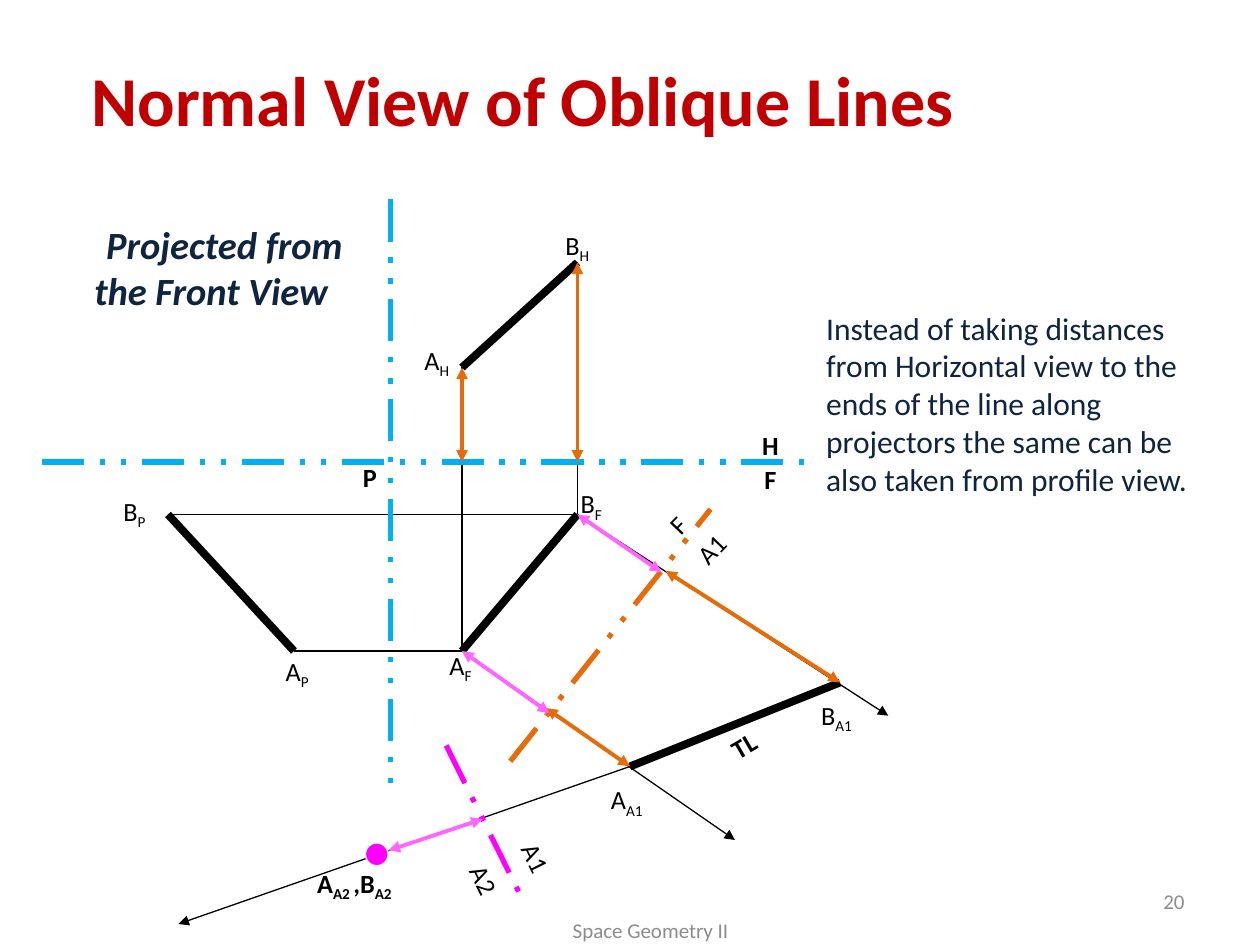
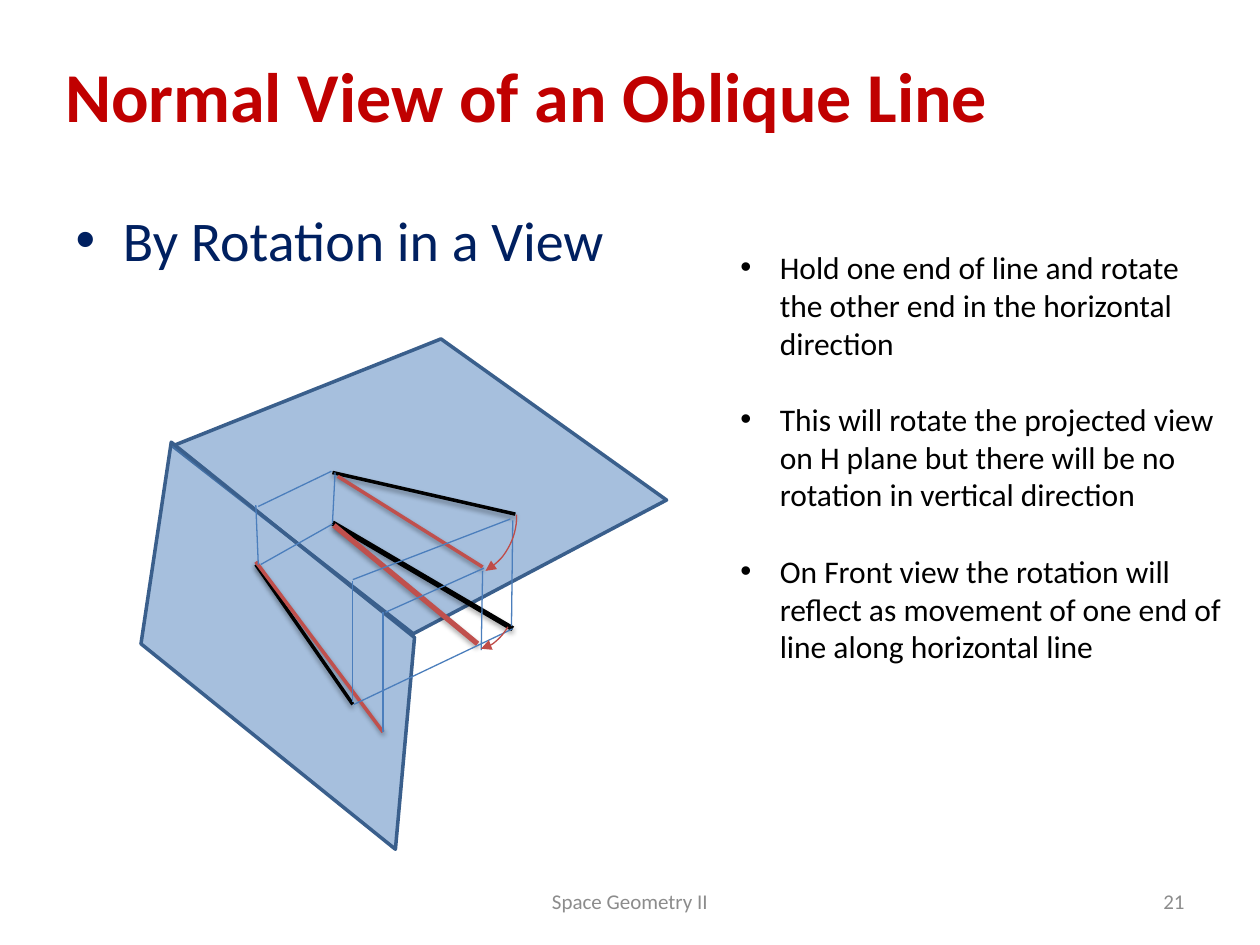
import lxml.etree
import pptx
import pptx.dml.color
import pptx.enum.dml
import pptx.enum.shapes
import pptx.enum.text
import pptx.oxml
import pptx.oxml.ns
import pptx.util

Pt = pptx.util.Pt
qn = pptx.oxml.ns.qn
Align = pptx.enum.text.PP_ALIGN
Anchor = pptx.enum.text.MSO_ANCHOR
Fit = pptx.enum.text.MSO_AUTO_SIZE
Form = pptx.enum.shapes.MSO_SHAPE

COLORS = {
    "black": "000000", "white": "FFFFFF", "title": "C00000", "navy": "0F243E",
    "list": "002060", "gray": "8C8C8C", "fold": "00B0F0", "orange": "E46C0A",
    "pink": "FF66FF", "magenta": "FF00FF", "plane": "4F81BD", "edge": "3A5F8C",
    "ray": "4B7EBC", "red": "C0504D", "arc": "BF4C48",
}


class Deck:
    font = "Calibri"

    def __init__(self):
        self.file = pptx.Presentation()
        self.file.slide_width, self.file.slide_height = Pt(720), Pt(540)
        self.slide = None

    def tint(self, name):
        return pptx.dml.color.RGBColor.from_string(COLORS[name])

    def start(self, layout, title, box):
        self.slide = self.file.slides.add_slide(self.file.slide_layouts[layout])
        shape = self.slide.shapes.title
        self.place(shape, box)
        frame = self.setup(shape, Anchor.MIDDLE)
        frame.paragraphs[0].alignment = Align.LEFT
        self.run(frame.paragraphs[0], title, 40, "title", bold=True)

    def place(self, shape, box):
        shape.left, shape.top, shape.width, shape.height = [Pt(v) for v in box]

    def setup(self, shape, anchor=Anchor.TOP, wrap=True, fit=Fit.NONE):
        frame = shape.text_frame
        frame.word_wrap = wrap
        frame.auto_size = fit
        frame.vertical_anchor = anchor
        return frame

    def run(self, para, text, size, color, bold=False, italic=False, sub=False):
        run = para.add_run()
        run.text = text
        font = run.font
        font.name, font.size, font.bold, font.italic = self.font, Pt(size), bold, italic
        font.color.rgb = self.tint(color)
        if sub:
            run._r.get_or_add_rPr().set("baseline", "-25000")

    def text(self, text, box, size, color, anchor=Anchor.TOP, align=Align.LEFT, indent=0, **look):
        shape = self.slide.shapes.add_textbox(*[Pt(v) for v in box])
        para = self.setup(shape, anchor).paragraphs[0]
        para.alignment = align
        if indent:
            para._p.get_or_add_pPr().set("indent", str(Pt(indent)))
        self.run(para, text, size, color, **look)

    def label(self, parts, x, y, width, bold=False, turn=0):
        shape = self.slide.shapes.add_textbox(Pt(x), Pt(y), Pt(width), Pt(25.2))
        shape.rotation = turn
        para = self.setup(shape, wrap=False, fit=Fit.SHAPE_TO_FIT_TEXT).paragraphs[0]
        for spot, part in enumerate(parts):
            self.run(para, part, 15, "black", bold=bold, sub=spot % 2 == 1)

    def body(self, text, box):
        shape = self.slide.placeholders[1]
        self.place(shape, box)
        self.run(self.setup(shape).paragraphs[0], text, 32, "list")

    def list(self, items, box, size, gap):
        frame = self.setup(self.slide.shapes.add_textbox(*[Pt(v) for v in box]))
        for spot, item in enumerate(items):
            para = frame.add_paragraph() if spot else frame.paragraphs[0]
            props = para._p.get_or_add_pPr()
            props.set("marL", str(Pt(22.5)))
            props.set("indent", str(Pt(-22.5)))
            lxml.etree.SubElement(props, qn("a:buFont")).set("typeface", "Arial")
            lxml.etree.SubElement(props, qn("a:buChar")).set("char", "•")
            if spot:
                para.space_before = Pt(gap)
            self.run(para, item, size, "black")

    def foot(self, number, x, y):
        self.text("Space Geometry II", (x, y, 228, 28.8), 12, "gray", Anchor.MIDDLE, Align.CENTER)
        self.text(number, (516, 500.4, 168, 28.8), 12, "gray", Anchor.MIDDLE, Align.RIGHT)

    def pen(self, shape, color, width, ends=""):
        shape.line.color.rgb = self.tint(color)
        shape.line.width = Pt(width)
        line = shape.line._get_or_add_ln()
        for end in ends.split():
            lxml.etree.SubElement(line, qn(f"a:{end}End")).set("type", "triangle")

    def line(self, start, end, color, width, ends="", dash=False, shade=None):
        kind = pptx.enum.shapes.MSO_CONNECTOR.STRAIGHT
        shape = self.slide.shapes.add_connector(kind, *[Pt(v) for v in (*start, *end)])
        if dash:
            shape.line.dash_style = pptx.enum.dml.MSO_LINE.DASH_DOT_DOT
        self.pen(shape, color, width, ends)
        group = lxml.etree.SubElement(shape._element.spPr, qn("a:effectLst"))
        if shade:
            alpha, drop = shade
            cast = lxml.etree.SubElement(group, qn("a:outerShdw"), blurRad=str(Pt(3.1)),
                                         dist=str(Pt(drop)), dir="5400000", rotWithShape="0")
            tone = lxml.etree.SubElement(cast, qn("a:srgbClr"), val=COLORS["black"])
            lxml.etree.SubElement(tone, qn("a:alpha"), val=str(alpha * 1000))

    def plane(self, points):
        first, *rest = [(Pt(x), Pt(y)) for x, y in points]
        maker = self.slide.shapes.build_freeform(*first)
        maker.add_line_segments(rest, close=True)
        shape = maker.convert_to_shape()
        shape.shadow.inherit = False
        shape.fill.solid()
        shape.fill.fore_color.rgb = self.tint("plane")
        tone = shape._element.spPr.find(qn("a:solidFill"))[0]
        lxml.etree.SubElement(tone, qn("a:alpha"), val="50000")
        self.pen(shape, "edge", 2)

    def dot(self, box):
        shape = self.slide.shapes.add_shape(Form.OVAL, *[Pt(v) for v in box])
        shape.shadow.inherit = False
        shape.fill.solid()
        shape.fill.fore_color.rgb = self.tint("magenta")
        self.pen(shape, "white", 0.75)

    def arc(self, box, turn, angles):
        shape = self.slide.shapes.add_shape(Form.ARC, *[Pt(v) for v in box])
        shape.shadow.inherit = False
        shape.fill.background()
        shape.rotation = turn
        for spot, angle in enumerate(angles):
            shape.adjustments[spot] = angle
        self.pen(shape, "arc", 0.75, "tail")


def views(deck):
    deck.start(5, "Normal View of Oblique Lines", (45, 24, 609, 64))
    a_h, b_h = (264, 210), (330, 150)
    a_f, b_f = (264, 372), (330, 294)
    a_p, b_p = (168, 372), (96, 294)
    a_1, b_1 = (360, 438), (480, 390)
    fold = 264

    for start, end, ends in [
        (a_1, (102, 528), "tail"), (b_f, (507.6, 409), "tail"), (a_f, (420, 480), "tail"),
        (b_p, b_f, ""), (b_f, b_h, ""), (a_p, a_f, ""), (a_f, a_h, ""),
    ]:
        deck.line(start, end, "black", 0.75, ends)
    for start, end, color in [
        ((223.2, 114), (223.2, 450), "fold"), ((24, fold), (468, fold), "fold"),
        ((291.6, 435), (406, 291), "orange"), ((255, 426), (296.6, 510), "magenta"),
    ]:
        deck.line(start, end, color, 3, dash=True)
    for start, end in [(a_h, b_h), (b_p, a_p), (b_f, a_f), (a_1, b_1)]:
        deck.line(start, end, "black", 4.5)
    for start, end, color in [
        ((380.2, 326.2), b_1, "orange"), ((312, 404.6), a_1, "orange"),
        ((a_h[0], fold), a_h, "orange"), ((b_h[0], fold), b_h, "orange"),
        ((378, 327), b_f, "pink"), ((314, 407.5), a_f, "pink"), ((276, 468), (222, 486), "pink"),
    ]:
        deck.line(start, end, color, 2.25, "head tail")
    deck.dot((208.8, 481.7, 13, 13))

    for parts, x, y, width in [
        ("BH", 316, 127.4, 28.8), ("AH", 235.4, 193, 29.5), ("BF", 324.7, 275, 27.4),
        ("AF", 249.8, 367.2, 28), ("AP", 156.2, 370.8, 28), ("BP", 63.4, 279.4, 28),
        (("A", "A1"), 342, 444.2, 34.6), (("B", "A1"), 462.2, 396, 33.8),
    ]:
        deck.label(parts, x, y, width)
    for part, x, y, width, bold, turn in [
        ("H", 428.4, 242, 24.5, True, 0), ("F", 429.8, 261.4, 21.6, True, 0),
        ("P", 200.2, 260, 22.3, True, 0), ("TL", 411, 413.3, 28, True, 329.7),
        ("F", 376.6, 287.3, 21.6, False, 313.9), ("A1", 391, 301, 31, False, 313.9),
        ("A1", 290.9, 478, 31, False, 63.6), ("A2", 261.4, 490.3, 31, False, 63.6),
    ]:
        deck.label([part], x, y, width, bold, turn)
    deck.label(["A", "A2 ", ",B", "A2"], 174.2, 491.8, 60.5, True)

    deck.text("Projected from the Front View", (46.8, 118.8, 170.6, 64), 22, "navy",
              Anchor.BOTTOM, indent=6.8, bold=True, italic=True)
    deck.text("Instead of taking distances from Horizontal view to the ends of the line along "
              "projectors the same can be also taken from profile view.",
              (465, 172.8, 229, 116.6), 18, "navy")
    deck.foot("20", 257.8, 517)


def spin(deck):
    deck.start(1, "Normal View of an Oblique Line", (30, 12, 600, 84))
    deck.body("By Rotation in a View", (36, 114, 648, 396))
    deck.foot("21", 246, 500.4)
    deck.plane([(98.6, 254.9), (252, 193.7), (380.9, 285.8), (236.2, 362.2)])
    deck.plane([(97.9, 252.7), (236.9, 364.3), (226, 485.3), (80.6, 367.9)])

    thin, thick = (38, 1.6), (35, 1.8)
    sticks = [
        ((190, 270), (294.5, 293.8), "black", 2, thin),
        ((190, 298.8), (293, 359.3), "black", 3, thick),
        ((146.2, 322.6), (201.6, 402.5), "black", 2, thin),
        ((190.8, 300.2), (272.9, 367.9), "red", 3, thick),
        ((193, 272.2), (275.8, 324), "red", 2, thin),
        ((146.2, 321), (218.9, 418.3), "red", 2, thin),
    ]
    for start, end, color, width, shade in sticks:
        deck.line(start, end, color, width, shade=shade)
    for start, end in [
        ((291.6, 296.6), (201.6, 331.2)), ((147.6, 289.4), (189.4, 269.3)),
        ((147.6, 322.6), (146.2, 288.7)), ((201.6, 401), (201.6, 331.9)),
        ((190, 298.8), (191.5, 270)), ((292.3, 357.8), (293, 297.4)),
        ((218.9, 418.3), (218.9, 349.9)), ((276.5, 324.7), (220.3, 349.9)),
        ((275, 371.5), (275.8, 326.2)), ((202.3, 402.5), (293, 359.3)),
        ((149, 322.6), (190, 299.5)),
    ]:
        deck.line(start, end, "ray", 0.75)
    deck.arc((223.2, 259.2, 72, 72), 59.6, (179.24, 0))
    deck.arc((231.8, 306, 79.2, 51), 90, (194.93, 212.98))
    deck.list([
        "Hold one end of line and rotate the other end in the horizontal direction",
        "This will rotate the projected view on H plane but there will be no rotation "
        "in vertical direction",
        "On Front view the rotation will reflect as movement of one end of line along "
        "horizontal line",
    ], (416, 138.2, 290, 291), 18, 22)


def main():
    deck = Deck()
    views(deck)
    spin(deck)
    deck.file.save("out.pptx")


if __name__ == "__main__":
    main()
